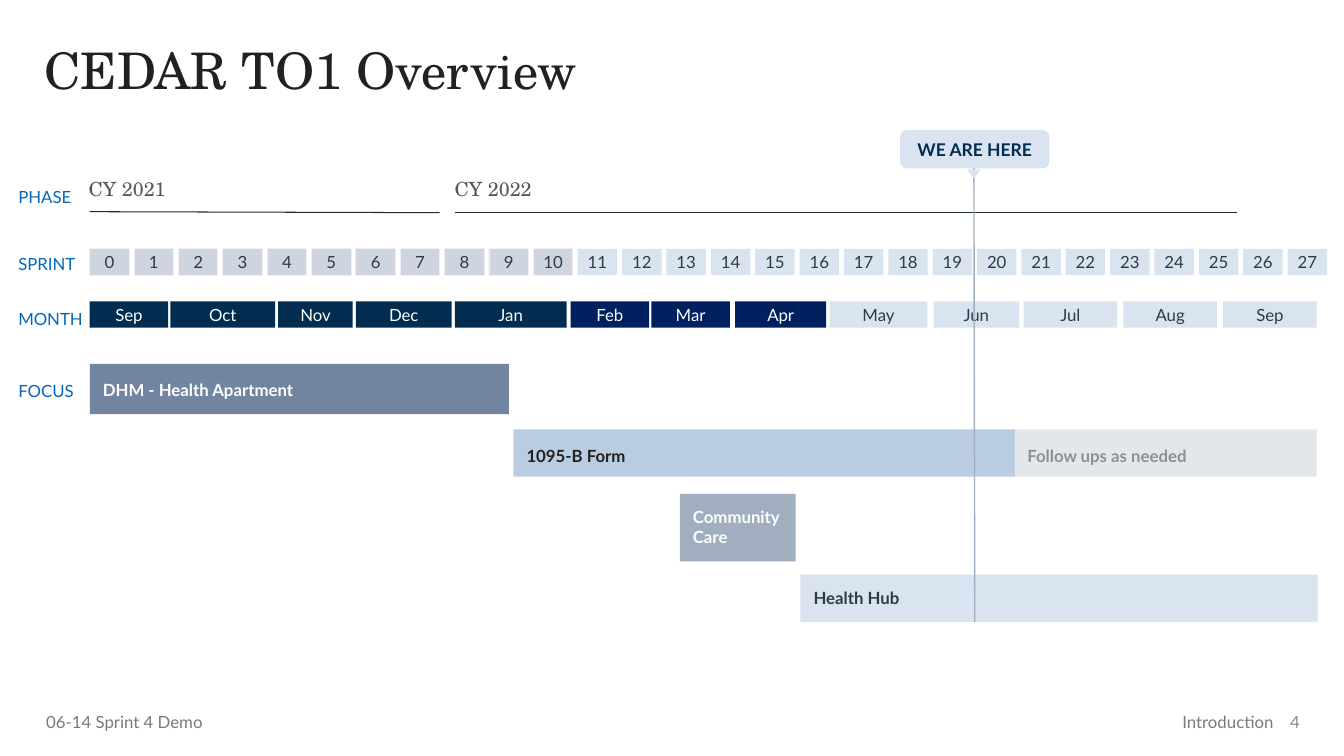
from lxml import etree
from pptx import Presentation
from pptx.dml.color import RGBColor
from pptx.enum.shapes import MSO_CONNECTOR, MSO_SHAPE
from pptx.enum.text import MSO_ANCHOR, PP_ALIGN
from pptx.oxml.ns import qn
from pptx.util import Inches, Pt

RECT, ROUNDED, TRIANGLE = MSO_SHAPE.RECTANGLE, MSO_SHAPE.ROUNDED_RECTANGLE, MSO_SHAPE.ISOSCELES_TRIANGLE
STRAIGHT = MSO_CONNECTOR.STRAIGHT
TOP, MIDDLE = MSO_ANCHOR.TOP, MSO_ANCHOR.MIDDLE
LEFT, CENTER, RIGHT = PP_ALIGN.LEFT, PP_ALIGN.CENTER, PP_ALIGN.RIGHT

SANS, SERIF = "Lato", "TeX Gyre Schola"
INK, NAVY, ROYAL = "303A46", "022D50", "002060"
PALE, STEEL, WHITE, BLACK = "DAE4F0", "A1AEBF", "FDFFFD", "202120"
FOOTER_GRAY = "747C74"
PADDING = (0.1, 0.05, 0.1, 0.05)

SPRINT_COUNT, FIRST_PALE_SPRINT = 28, 11
MONTHS = [
    ("Sep", 0, 1.77, NAVY), ("Oct", 1.82, 2.36, NAVY), ("Nov", 4.25, 1.68, NAVY),
    ("Dec", 6, 2.16, NAVY), ("Jan", 8.23, 2.52, NAVY), ("Feb", 10.84, 1.77, ROYAL),
    ("Mar", 12.66, 1.77, ROYAL), ("Apr", 14.55, 2.05, ROYAL), ("May", 16.68, 2.2, PALE),
    ("Jun", 19.02, 1.93, PALE), ("Jul", 21.05, 2.11, PALE), ("Aug", 23.3, 2.11, PALE),
    ("Sep", 25.55, 2.11, PALE),
]
FOCUS_AREAS = [
    ("Health Hub", (16.02, 11.4, 11.66, 0.94), PALE, INK, 1, 100),
    ("DHM - Health Apartment", (0, 7.22, 9.45, 1), "7185A0", "FFFFFF", 1.15, 100),
    ("1095-B Form", (9.55, 8.52, 11.3, 0.94), "B9CCE2", BLACK, 1.15, 100),
    ("Community Care", (13.3, 9.8, 2.61, 1.34), STEEL, WHITE, 1, 100),
    ("Follow ups as needed", (20.84, 8.52, 6.82, 0.94), STEEL, "8F8F8F", 1.15, 29),
]
ROW_LABELS = [("PHASE", 3.7), ("SPRINT", 5.04), ("MONTH", 6.12), ("FOCUS", 7.56)]
YEARS = [("CY 2021", -0.25, (0, 4.2), (7.89, 4.22)),
         ("CY 2022", 8, (8.23, 4.22), (25.86, 4.22))]


def rgb(hex_color):
    return RGBColor.from_string(hex_color)


class Roadmap:
    """Draws on a grid of one column per sprint and half-inch rows."""

    origin, column, row = 0.89, 0.44, 0.5

    def __init__(self, prs):
        self.slide = prs.slides.add_slide(prs.slide_layouts[5])

    def x(self, columns):
        return Inches(self.origin + columns * self.column)

    def y(self, rows):
        return Inches(rows * self.row)

    def area(self, box):
        left, top, width, height = box
        return self.x(left), self.y(top), Inches(width * self.column), self.y(height)

    def label(self, holder, wording, color, size=12, font=SANS, bold=False,
              align=LEFT, anchor=TOP, padding=PADDING, spacing=1):
        frame = holder.text_frame
        frame.text = wording
        frame.word_wrap = True
        frame.vertical_anchor = anchor
        (frame.margin_left, frame.margin_top,
         frame.margin_right, frame.margin_bottom) = map(Inches, padding)
        paragraph = frame.paragraphs[0]
        paragraph.alignment = align
        paragraph.line_spacing = spacing
        for run in paragraph.runs:
            run.font.name, run.font.size, run.font.bold = font, Pt(size), bold
            run.font.color.rgb = rgb(color)

    def title(self, wording, box):
        heading = self.slide.shapes.title
        heading.left, heading.top, heading.width, heading.height = self.area(box)
        self.label(heading, wording, BLACK, 36, SERIF, spacing=0.9)

    def text(self, wording, box, color, **style):
        self.label(self.slide.shapes.add_textbox(*self.area(box)), wording, color, **style)

    def block(self, box, fill, kind=RECT, outline=None, opacity=100):
        block = self.slide.shapes.add_shape(kind, *self.area(box))
        block.shadow.inherit = False
        block.fill.solid()
        block.fill.fore_color.rgb = rgb(fill)
        if opacity < 100:
            tint = block._element.spPr.find(qn("a:solidFill"))[0]
            etree.SubElement(tint, qn("a:alpha")).set("val", str(opacity * 1000))
        if outline:
            block.line.color.rgb = rgb(outline)
            block.line.width = Pt(0.75)
        else:
            block.line.fill.background()
        return block

    def cell(self, wording, box, fill, color, outline=None):
        self.label(self.block(box, fill, outline=outline), wording, color,
                   align=CENTER, padding=(0.03,) * 4)

    def focus(self, wording, box, fill, color, spacing, opacity):
        self.label(self.block(box, fill, opacity=opacity), wording, color,
                   bold=True, padding=(0.13,) * 4, spacing=spacing)

    def line(self, start, end, color, weight):
        rule = self.slide.shapes.add_connector(
            STRAIGHT, self.x(start[0]), self.y(start[1]), self.x(end[0]), self.y(end[1]))
        rule.line.color.rgb = rgb(color)
        rule.line.width = Pt(weight)
        etree.SubElement(rule._element.spPr, qn("a:effectLst"))

    def marker(self, wording):
        self.line((19.93, 3), (19.95, 12.34), STEEL, 1)
        callout = self.block((18.27, 2.58, 3.36, 0.76), PALE, ROUNDED)
        self.label(callout, wording, NAVY, 12.5, bold=True, align=CENTER, anchor=MIDDLE)
        self.block((19.77, 3.36, 0.32, 0.18), PALE, TRIANGLE).rotation = 180


def main():
    prs = Presentation()
    prs.slide_width, prs.slide_height = Inches(13.33), Inches(7.5)
    roadmap = Roadmap(prs)
    roadmap.title("CEDAR TO1 Overview", (-1.25, 0.82, 28.23, 1.64))

    for row_name, top in ROW_LABELS:
        roadmap.text(row_name, (-1.61, top, 1.77, 0.4), "0467B8", padding=(0,) * 4)
    for year, left, start, end in YEARS:
        roadmap.text(year, (left, 3.42, 6.82, 0.68), "565956", size=14, font=SERIF)
        roadmap.line(start, end, "232B34", 0.75)
    for sprint in range(SPRINT_COUNT):
        fill, outline = (PALE, None) if sprint >= FIRST_PALE_SPRINT else ("CED5E0", "F0F1F0")
        roadmap.cell(str(sprint), (sprint, 4.94, 0.89, 0.52), fill, INK, outline)
    for month, left, width, fill in MONTHS:
        roadmap.cell(month, (left, 5.98, width, 0.52), fill, INK if fill == PALE else WHITE)
    for focus_area in FOCUS_AREAS:
        roadmap.focus(*focus_area)
    roadmap.marker("WE ARE HERE")

    roadmap.text("06-14 Sprint 4 Demo", (-0.98, 14.02, 6.77, 0.6), FOOTER_GRAY,
                 padding=(0, 0.05, 0.1, 0.05))
    roadmap.text("Introduction", (20.14, 14.02, 6.77, 0.6), FOOTER_GRAY, align=RIGHT)
    roadmap.text("4", (26.5, 13.92, 1, 0.8), "8A8A8A", align=RIGHT, anchor=MIDDLE)
    prs.save("out.pptx")


if __name__ == "__main__":
    main()
